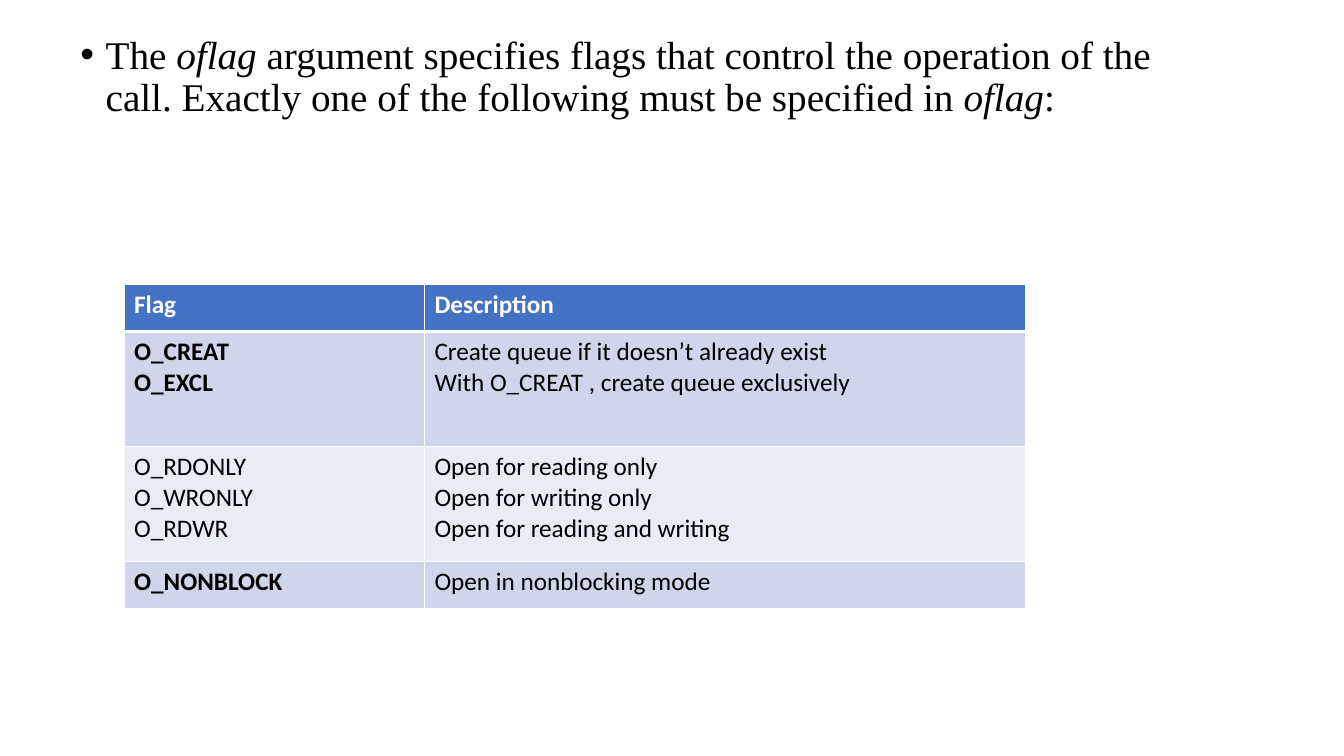
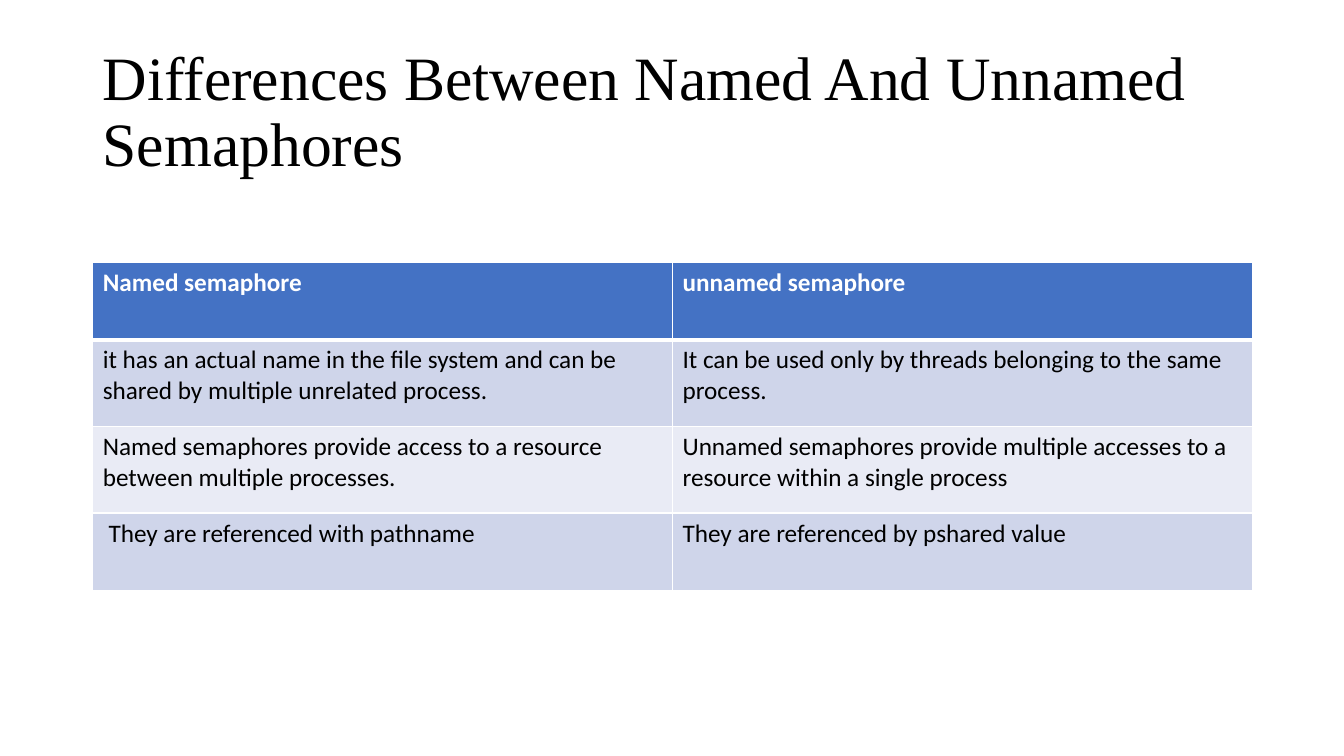
from dataclasses import dataclass

from lxml.etree import SubElement
from pptx import Presentation
from pptx.dml.color import RGBColor as RGB
from pptx.enum.text import MSO_ANCHOR as Anchor
from pptx.oxml.ns import qn
from pptx.util import Inches, Pt


@dataclass(frozen=True)
class Theme:
    ink: str = "000000"
    paper: str = "FFFFFF"
    header: str = "4472C4"
    bands: tuple = ("CFD5EA", "E9EBF5")
    heading_font: str = "Times New Roman"
    table_font: str = "Calibri"
    title_size: int = 44
    body_size: int = 28
    table_size: int = 18
    line_spacing: float = 0.9
    grid_line: int = 1
    header_rule: int = 3


THEME = Theme()

INTRO = [
    ("The ", False),
    ("oflag", True),
    (" argument specifies flags that control the operation of the call. "
     "Exactly one of the following must be specified in ", False),
    ("oflag", True),
    (":", False),
]
FLAGS = {
    "at": (1.23, 2.82),
    "columns": (2.98, 5.96),
    "heights": (0.47, 1.14, 1.14, 0.47),
    "bold": {(1, 0), (3, 0)},
    "rows": [
        ("Flag", "Description"),
        ("O_CREAT\nO_EXCL",
         "Create queue if it doesn’t already exist\n"
         "With O_CREAT , create queue exclusively"),
        ("O_RDONLY\nO_WRONLY\nO_RDWR",
         "Open for reading only\nOpen for writing only\n"
         "Open for reading and writing"),
        ("O_NONBLOCK", "Open in nonblocking mode"),
    ],
}

TITLE = [("Differences Between Named And Unnamed Semaphores", False)]
SEMAPHORES = {
    "at": (0.92, 2.6),
    "columns": (5.75, 5.75),
    "heights": (0.77, 0.86, 0.86, 0.77),
    "bold": set(),
    "rows": [
        ("Named semaphore", "unnamed semaphore"),
        ("it has an actual name in the file system and can be shared by "
         "multiple unrelated process.",
         "It can be used only by threads belonging to the same process."),
        ("Named semaphores provide access to a resource between multiple "
         "processes.",
         "Unnamed semaphores provide multiple accesses to a resource within "
         "a single process"),
        (" They are referenced with pathname",
         "They are referenced by pshared value"),
    ],
}


def style_font(font, face, size, color, bold=False, italic=False):
    font.name, font.size = face, Pt(size)
    font.color.rgb = RGB.from_string(color)
    font.bold, font.italic = bold, italic


def add_heading(slide, box, pieces, size, anchor=Anchor.TOP):
    frame = slide.shapes.add_textbox(*map(Inches, box)).text_frame
    frame.word_wrap = True
    frame.vertical_anchor = anchor
    paragraph = frame.paragraphs[0]
    paragraph.line_spacing = THEME.line_spacing
    for text, italic in pieces:
        run = paragraph.add_run()
        run.text = text
        style_font(run.font, THEME.heading_font, size, THEME.ink, italic=italic)
    return paragraph


def add_bullet(paragraph, indent):
    paragraph.space_before = Pt(10)
    props = paragraph._p.get_or_add_pPr()
    props.set("marL", str(Inches(indent)))
    props.set("indent", str(-Inches(indent)))
    SubElement(props, qn("a:buFont"), typeface="Arial")
    SubElement(props, qn("a:buChar"), char="•")


def add_borders(cell, row):
    props = cell._tc.get_or_add_tcPr()
    heavy = {(0, "B"), (1, "T")}
    for side in "LRTB":
        width = THEME.header_rule if (row, side) in heavy else THEME.grid_line
        line = SubElement(props, qn(f"a:ln{side}"), w=str(Pt(width)))
        fill = SubElement(line, qn("a:solidFill"))
        SubElement(fill, qn("a:srgbClr"), val=THEME.paper)


def fill_cell(cell, text, row, bold):
    is_header = row == 0
    add_borders(cell, row)
    cell.fill.solid()
    band = THEME.header if is_header else THEME.bands[(row - 1) % 2]
    cell.fill.fore_color.rgb = RGB.from_string(band)
    cell.text_frame.text = text
    color = THEME.paper if is_header else THEME.ink
    for paragraph in cell.text_frame.paragraphs:
        for run in paragraph.runs:
            style_font(run.font, THEME.table_font, THEME.table_size, color,
                       bold=is_header or bold)


def add_grid(slide, content):
    rows, widths, heights = (content[k] for k in ("rows", "columns", "heights"))
    box = (*content["at"], sum(widths), sum(heights))
    table = slide.shapes.add_table(len(rows), len(widths),
                                   *map(Inches, box)).table
    for column, width in zip(table.columns, widths):
        column.width = Inches(width)
    for r, (texts, height) in enumerate(zip(rows, heights)):
        table.rows[r].height = Inches(height)
        for c, text in enumerate(texts):
            fill_cell(table.cell(r, c), text, r, (r, c) in content["bold"])


def main():
    deck = Presentation()
    deck.slide_width, deck.slide_height = Inches(13.33), Inches(7.5)
    blank = deck.slide_layouts[6]

    flags = deck.slides.add_slide(blank)
    intro = add_heading(flags, (0.7, 0.3, 11.5, 6.88), INTRO, THEME.body_size)
    add_bullet(intro, 0.25)
    add_grid(flags, FLAGS)

    semaphores = deck.slides.add_slide(blank)
    add_heading(semaphores, (0.92, 0.4, 11.5, 1.45), TITLE, THEME.title_size,
                Anchor.MIDDLE)
    add_grid(semaphores, SEMAPHORES)

    deck.save("out.pptx")


if __name__ == "__main__":
    main()
